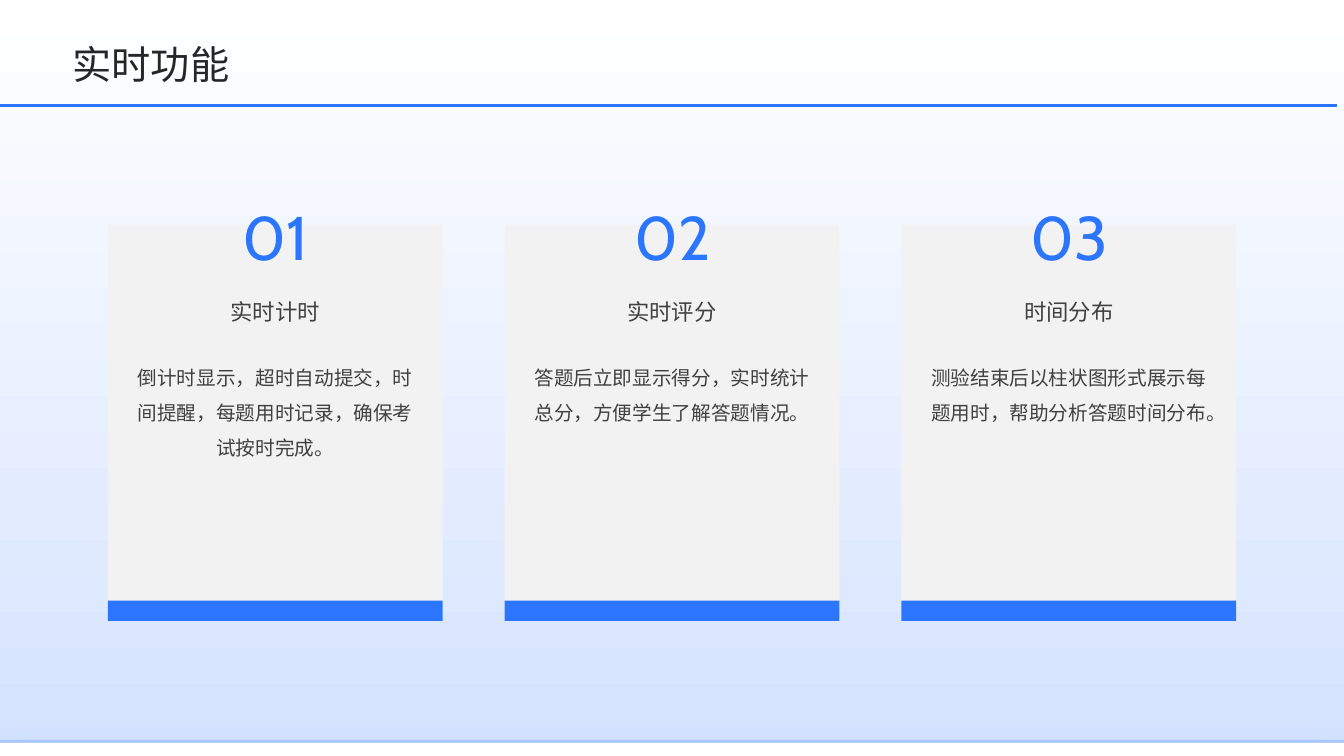
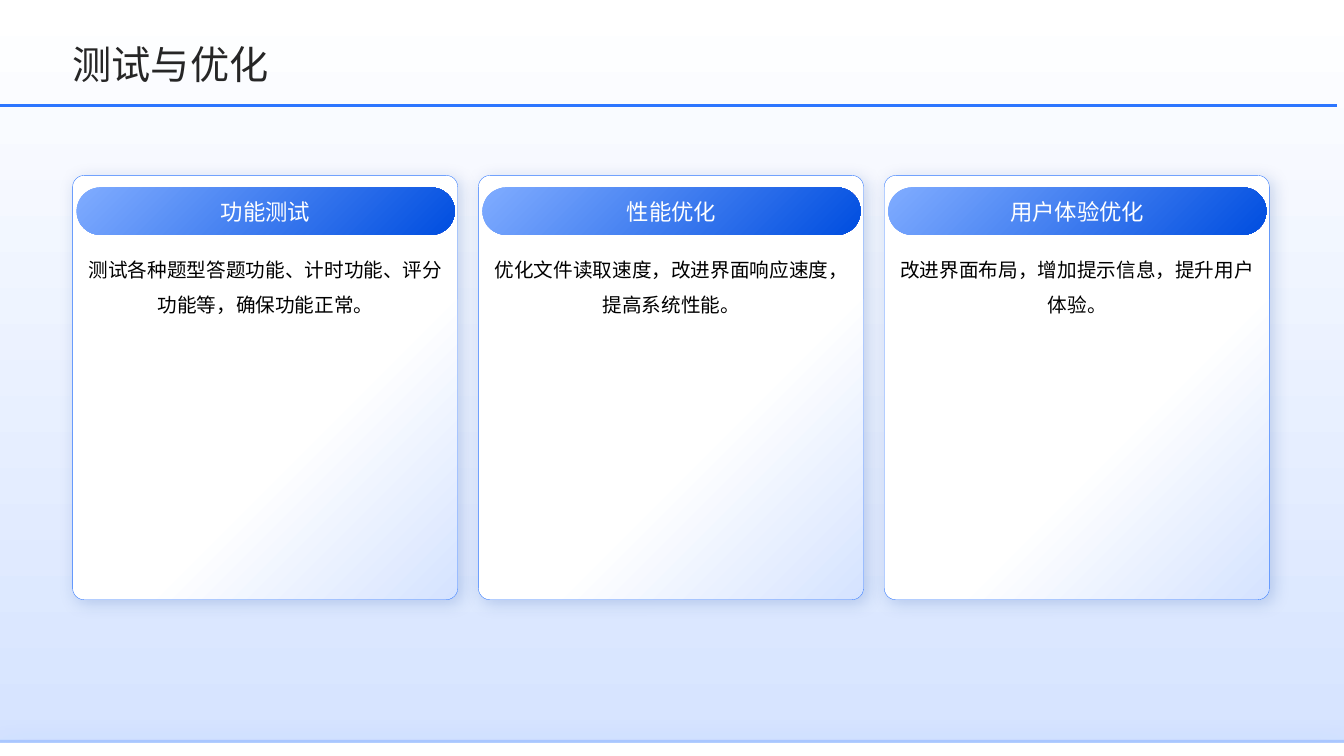
from lxml import etree
from pptx import Presentation
from pptx.dml.color import RGBColor
from pptx.enum.shapes import MSO_CONNECTOR, MSO_SHAPE
from pptx.enum.text import MSO_ANCHOR, MSO_AUTO_SIZE, PP_ALIGN
from pptx.oxml.ns import qn
from pptx.util import Inches, Pt

# Colours
BLUE = RGBColor(0x2C, 0x75, 0xFF)
DEEP_BLUE = RGBColor(0x00, 0x4E, 0xE0)
SOFT_BLUE = RGBColor(0x80, 0xAC, 0xFF)
BAND_BLUE = RGBColor(0xAB, 0xC8, 0xFF)
PALE_BLUE = RGBColor(0xD5, 0xE3, 0xFF)
SHADOW_BLUE = RGBColor(0x00, 0x34, 0x96)
WHITE = RGBColor(0xFF, 0xFF, 0xFF)
CARD_GREY = RGBColor(0xF2, 0xF2, 0xF2)
TEXT_GREY = RGBColor(0x40, 0x40, 0x40)
TITLE_GREY = RGBColor(0x26, 0x26, 0x26)
BLACK = RGBColor(0, 0, 0)

SANS = "Noto Sans CJK SC"
SLIDE_W, SLIDE_H = 13.33, 7.5

# Text styles: font, paragraph and frame formats
TITLE = dict(font=dict(size=Pt(28), name=SANS), color=TITLE_GREY,
             para=dict(line_spacing=1.1),
             frame=dict(vertical_anchor=MSO_ANCHOR.MIDDLE))
NUMBER = dict(font=dict(size=Pt(44), name="Cabin"), color=BLUE,
              para=dict(alignment=PP_ALIGN.CENTER, line_spacing=1.3),
              frame=dict(auto_size=MSO_AUTO_SIZE.SHAPE_TO_FIT_TEXT))
HEADING = dict(font=dict(size=Pt(16), name=SANS), color=TEXT_GREY,
               para=dict(alignment=PP_ALIGN.CENTER, line_spacing=1.3),
               frame=dict(vertical_anchor=MSO_ANCHOR.MIDDLE))
PILL_LABEL = dict(HEADING, color=WHITE, para=dict(alignment=PP_ALIGN.CENTER))
BODY = dict(font=dict(size=Pt(14), name=SANS), color=TEXT_GREY,
            para=dict(alignment=PP_ALIGN.CENTER, line_spacing=1.5), frame={})
PANEL_BODY = dict(BODY, color=BLACK)

# Shadows: colour, opacity %, blur pt, distance pt, angle
BAND_SHADOW = (BLUE, 10, 25, 10, 90)
PANEL_SHADOW = (SHADOW_BLUE, 19, 12, 3, 45)

FEATURES = [
    ("实时计时", "倒计时显示，超时自动提交，时间提醒，每题用时记录，确保考试按时完成。"),
    ("实时评分", "答题后立即显示得分，实时统计总分，方便学生了解答题情况。"),
    ("时间分布", "测验结束后以柱状图形式展示每题用时，帮助分析答题时间分布。"),
]
TESTS = [
    ("功能测试", "测试各种题型答题功能、计时功能、评分功能等，确保功能正常。"),
    ("性能优化", "优化文件读取速度，改进界面响应速度，提高系统性能。"),
    ("用户体验优化", "改进界面布局，增加提示信息，提升用户体验。"),
]


def set_attrs(obj, formats):
    for name, value in formats.items():
        setattr(obj, name, value)


def add_shadow(sp, color, opacity, blur, dist, angle):
    effects = sp._element.spPr.find(qn("a:effectLst"))
    outer = etree.SubElement(effects, qn("a:outerShdw"), blurRad=str(Pt(blur)),
                             dist=str(Pt(dist)), dir=str(angle * 60000),
                             algn="ctr", rotWithShape="0")
    clr = etree.SubElement(outer, qn("a:srgbClr"), val=str(color))
    etree.SubElement(clr, qn("a:alpha"), val=str(opacity * 1000))


def add_box(s, box, fill, kind=MSO_SHAPE.RECTANGLE, round_by=None, shadow=None):
    """fill is a colour, or (angle, (position, colour), (position, colour))."""
    sp = s.shapes.add_shape(kind, *map(Inches, box))
    sp.shadow.inherit = False
    sp.line.fill.background()
    if isinstance(fill, RGBColor):
        sp.fill.solid()
        sp.fill.fore_color.rgb = fill
    else:
        angle, *stops = fill
        sp.fill.gradient()
        sp.fill.gradient_angle = angle
        for stop, (position, color) in zip(sp.fill.gradient_stops, stops):
            stop.position = position
            stop.color.rgb = color
    if round_by is not None:
        sp.adjustments[0] = round_by
    if shadow:
        add_shadow(sp, *shadow)
    return sp


def add_text(s, box, text, style, inset=None):
    tf = s.shapes.add_textbox(*map(Inches, box)).text_frame
    tf.word_wrap = True
    set_attrs(tf, style["frame"])
    if inset is not None:
        for side in ("left", "top", "right", "bottom"):
            setattr(tf, f"margin_{side}", Inches(inset))
    p = tf.paragraphs[0]
    set_attrs(p, style["para"])
    r = p.add_run()
    r.text = text
    set_attrs(r.font, style["font"])
    r.font.color.rgb = style["color"]
    etree.SubElement(r._r.get_or_add_rPr(), qn("a:ea"),
                     typeface=style["font"]["name"])


def add_slide(prs, title, add_card, items, left, pitch):
    s = prs.slides.add_slide(prs.slide_layouts[6])
    # Background and bottom bands
    add_box(s, (0, 0, SLIDE_W, SLIDE_H), (90, (0, PALE_BLUE), (1, WHITE)))
    add_box(s, (0, 7.34, SLIDE_W, 0.08), BAND_BLUE, shadow=BAND_SHADOW)
    add_box(s, (0, 7.37, SLIDE_W, 0.13), WHITE, shadow=BAND_SHADOW)
    # Row of cards
    for i, (heading, body) in enumerate(items):
        add_card(s, left + i * pitch, i + 1, heading, body)
    # Title and rule
    add_text(s, (0.72, 0.35, 11.67, 0.51), title, TITLE, inset=0)
    rule = s.shapes.add_connector(MSO_CONNECTOR.STRAIGHT, Inches(0),
                                  Inches(1.05), Inches(13.26), Inches(1.05))
    rule.line.color.rgb = BLUE
    rule.line.width = Pt(2.25)
    etree.SubElement(rule._element.spPr, qn("a:effectLst"))


def add_feature_card(s, x, number, heading, body):
    top, w, h, bar_h = 2.23, 3.32, 3.93, 0.2
    add_box(s, (x, top, w, h), CARD_GREY)
    add_box(s, (x, top + h - bar_h, w, bar_h), BLUE)
    add_text(s, (x + 0.97, top - 0.53, 1.39, 0.89), f"{number:02d}", NUMBER)
    add_text(s, (x + 0.17, top + 0.47, w - 0.34, 0.71), heading, HEADING)
    add_text(s, (x + 0.17, top + 1.23, w - 0.34, 2.39), body, BODY)


def add_test_panel(s, x, number, heading, body):
    top, w, h = 1.74, 3.82, 4.21
    panel = add_box(s, (x, top, w, h), (315, (0.61, WHITE), (1, PALE_BLUE)),
                    MSO_SHAPE.ROUNDED_RECTANGLE, 0.03, PANEL_SHADOW)
    panel.line.color.rgb = BLUE
    panel.line.width = Pt(0.25)
    add_box(s, (x + 0.04, top + 0.12, w - 0.07, 0.47),
            (315, (0, SOFT_BLUE), (1, DEEP_BLUE)),
            MSO_SHAPE.ROUNDED_RECTANGLE, 0.5)
    add_text(s, (x + 0.08, top + 0.12, w - 0.15, 0.47), heading, PILL_LABEL, inset=0)
    add_text(s, (x + 0.08, top + 0.7, w - 0.15, 3.32), body, PANEL_BODY, inset=0)


def main():
    prs = Presentation()
    prs.slide_width, prs.slide_height = Inches(SLIDE_W), Inches(SLIDE_H)
    add_slide(prs, "实时功能", add_feature_card, FEATURES, 1.07, 7.87 / 2)
    add_slide(prs, "测试与优化", add_test_panel, TESTS, 0.72, 8.05 / 2)
    prs.save("out.pptx")


if __name__ == "__main__":
    main()
